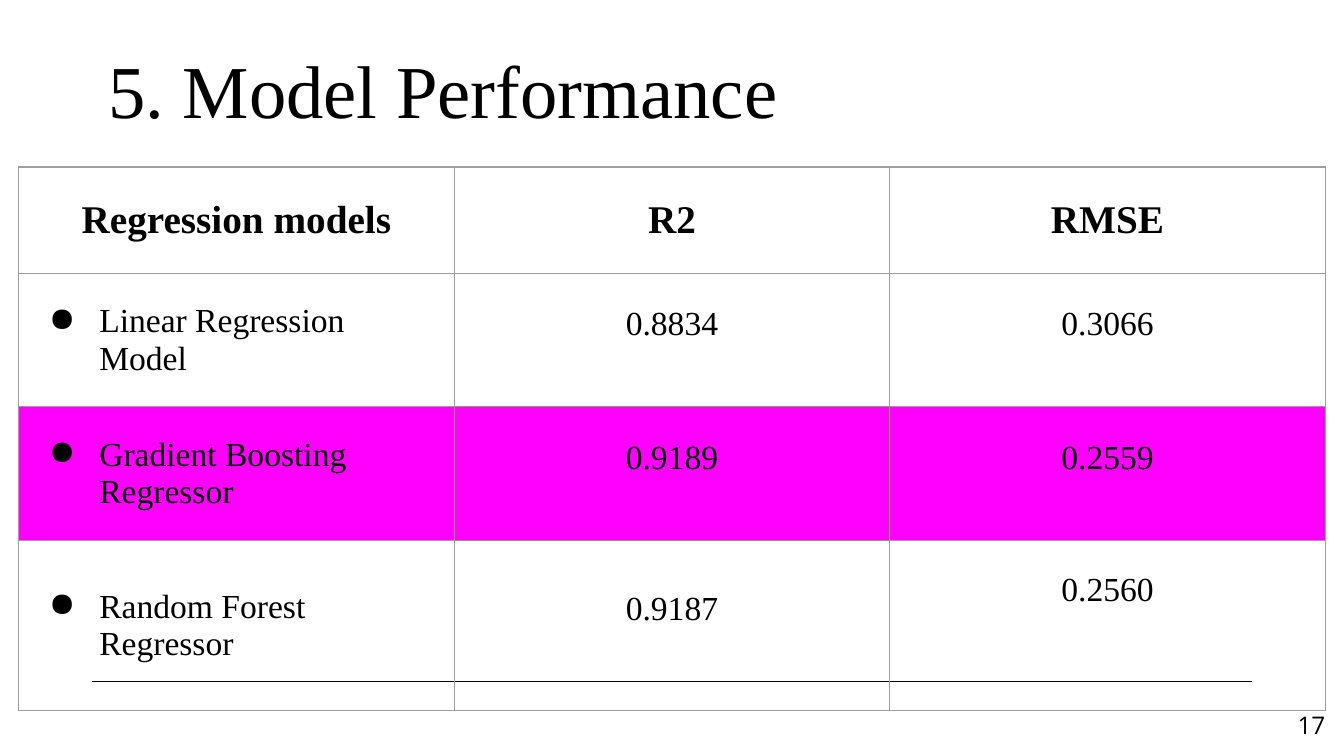
from lxml import etree
from pptx import Presentation
from pptx.dml.color import RGBColor
from pptx.enum import shapes, text
from pptx.oxml import ns
from pptx.util import Pt

BLACK = RGBColor(0, 0, 0)
WHITE = RGBColor(255, 255, 255)
PINK = RGBColor(255, 0, 255)
GREY = RGBColor(0x9E, 0x9E, 0x9E)
GREEN = RGBColor(0x70, 0xAD, 0x47)
SERIF, SANS = "Times New Roman", "Open Sans"
LEFT, MID = text.PP_ALIGN.LEFT, text.PP_ALIGN.CENTER
RIGHT = text.PP_ALIGN.RIGHT
INSET = 7.2

HEAD = ["Regression models", "R2", "RMSE"]
MODELS = [
    ["Linear Regression Model", "0.8834", "0.3066"],
    ["Gradient Boosting Regressor", "0.9189", "0.2559"],
    ["Random Forest Regressor", "0.9187", "0.2560"],
]
BEST = (2, 1)


def write(frame, words, size, font=SERIF, align=LEFT, bold=False):
    frame.text = words
    par = frame.paragraphs[0]
    par.alignment = align
    face = par.runs[0].font
    face.size, face.name, face.bold = Pt(size), font, bold
    face.color.rgb = BLACK
    return par


def label(slide, box, words, size, font, align=LEFT, top=INSET):
    frame = slide.shapes.add_textbox(*map(Pt, box)).text_frame
    frame.word_wrap = True
    frame.margin_left = frame.margin_right = frame.margin_bottom = Pt(INSET)
    frame.margin_top = Pt(top)
    write(frame, words, size, font, align)


def rule(slide, x, y, width):
    line = slide.shapes.add_connector(
        shapes.MSO_CONNECTOR.STRAIGHT, Pt(x), Pt(y), Pt(x + width), Pt(y))
    line.line.color.rgb = BLACK
    line.line.width = Pt(0.75)
    etree.SubElement(line._element.spPr, ns.qn("a:effectLst"))


def bullet(par):
    props = par._p.get_or_add_pPr()
    props.set("marL", str(Pt(36)))
    props.set("indent", str(Pt(-27)))
    color = etree.SubElement(props, ns.qn("a:buClr"))
    etree.SubElement(color, ns.qn("a:srgbClr"), val=str(BLACK))
    etree.SubElement(props, ns.qn("a:buChar"), char="●")


def border(cell, row, col):
    props = cell._tc.get_or_add_tcPr()
    sides = {"L": (0, -1), "R": (0, 1), "T": (-1, 0), "B": (1, 0)}
    for i, (side, (down, over)) in enumerate(sides.items()):
        near = BEST in ((row, col), (row + down, col + over))
        edge = etree.Element(ns.qn("a:ln" + side), w=str(Pt(0.75)))
        fill = etree.SubElement(edge, ns.qn("a:solidFill"))
        etree.SubElement(fill, ns.qn("a:srgbClr"),
                         val=str(GREEN if near else GREY))
        props.insert(i, edge)


def paint(cell, row):
    if row in (0, BEST[0]):
        cell.fill.solid()
        cell.fill.fore_color.rgb = PINK if row else WHITE
    else:
        cell.fill.background()


def scores(slide, x, y, width, heights):
    data = [HEAD] + MODELS
    frame = slide.shapes.add_table(len(data), len(HEAD), Pt(x), Pt(y),
                                   Pt(width), Pt(sum(heights)))
    table = frame.table
    table.first_row = table.horz_banding = False
    for col in table.columns:
        col.width = Pt(width / len(HEAD))
    for r, (line, high) in enumerate(zip(data, heights)):
        table.rows[r].height = Pt(high)
        for c, words in enumerate(line):
            cell = table.cell(r, c)
            cell.vertical_anchor = text.MSO_ANCHOR.MIDDLE
            cell.margin_left = cell.margin_right = Pt(INSET)
            cell.margin_top = cell.margin_bottom = Pt(INSET)
            par = write(cell.text_frame, words, 18 if r else 21,
                        align=LEFT if r and not c else MID, bold=not r)
            if r and c:
                par.line_spacing = 1.15
                cell.margin_bottom = Pt(48 if (r, c) == (3, 2) else 27)
            elif r:
                bullet(par)
            paint(cell, r)
            border(cell, r, c)


def main():
    deck = Presentation()
    deck.slide_width, deck.slide_height = Pt(720), Pt(405)
    slide = deck.slides.add_slide(deck.slide_layouts[6])
    rule(slide, 49.5, 365, 621)
    label(slide, (674, 373.5, 43, 31), "17", 13, SANS, RIGHT)
    scores(slide, 10, 89.5, 700, [57, 71.5, 71.5, 91])
    label(slide, (51, 11.5, 560, 37.5), "5. Model Performance", 40, SERIF,
          top=12)
    deck.save("out.pptx")


if __name__ == "__main__":
    main()
